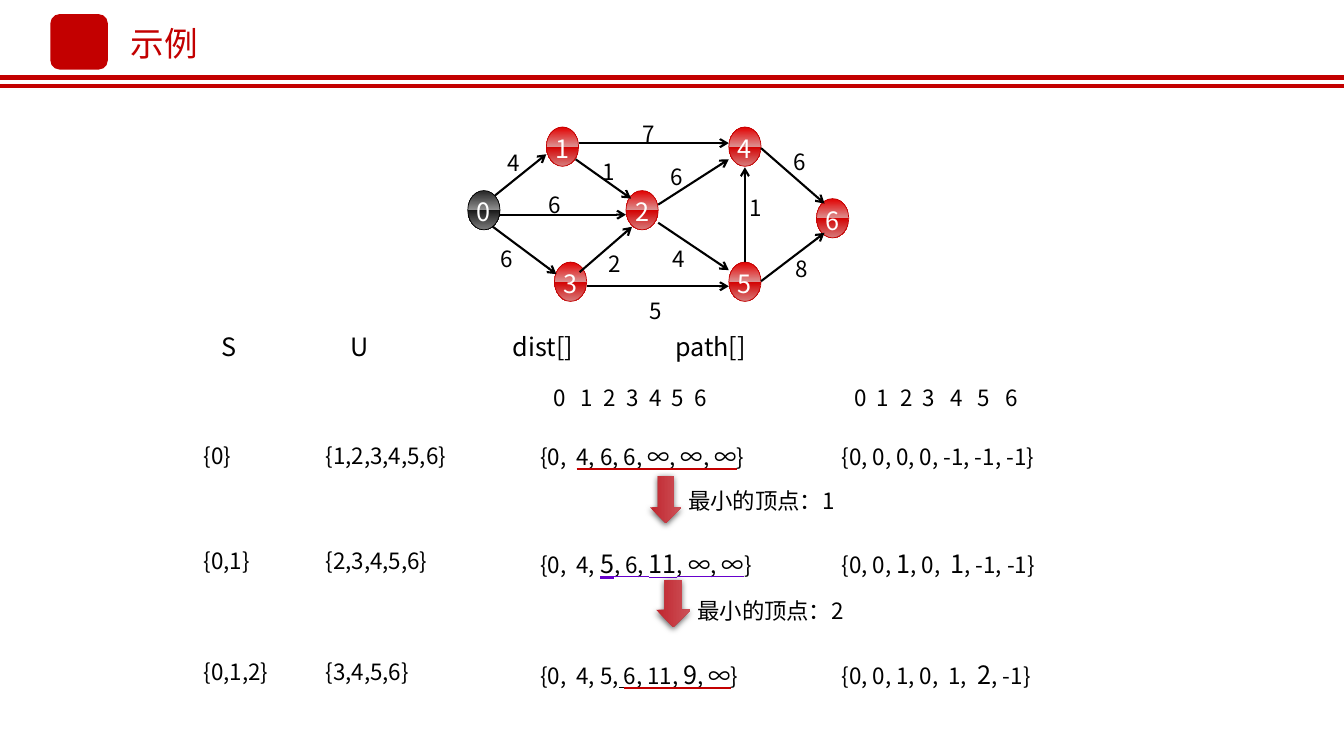
from dataclasses import dataclass

from lxml.etree import SubElement
from pptx import Presentation
from pptx.dml.color import RGBColor
from pptx.enum.shapes import MSO_CONNECTOR, MSO_SHAPE
from pptx.enum.text import MSO_ANCHOR, MSO_AUTO_SIZE, MSO_UNDERLINE, PP_ALIGN
from pptx.oxml.ns import qn
from pptx.util import Emu, Inches, Pt

FONT = "Noto Sans CJK SC"
RED, BLACK, WHITE, PURPLE = "C30000", "000000", "FFFFFF", "6600CC"
DARK = ["9D9D9D", "252525", "909090", "191919", "7C7C7C", "191919"]
GLOSS = ["E59D9D", "E20000", "DC9090", "D30000", "D77C7C", "D30000"]
STEPS = [0, 0, 50, 50, 100, 100]
CELL = Inches(0.1)
COLS, ROWS = 133.33, 75


@dataclass
class Run:
    text: str
    size: int = 16
    under: str = ""
    heavy: bool = False


@dataclass
class Node:
    name: str
    col: float
    row: float


@dataclass
class Edge:
    start: tuple[float, float]
    end: tuple[float, float]
    weight: str
    label: tuple[float, float]


@dataclass
class Step:
    row: float
    done: str
    todo: str
    dist: list[Run]
    prev: list[Run]
    stops: tuple[float, ...] = ()


@dataclass
class Pick:
    col: float
    row: float
    width: float
    text: str
    left: float
    top: float


NODES = [
    Node("0", 46.4, 18.9), Node("1", 54.2, 12.6), Node("3", 55, 26),
    Node("2", 62.1, 18.9), Node("4", 72.3, 12.6), Node("5", 72.3, 26),
    Node("6", 81, 19.7),
]
EDGES = [
    Edge((49.1, 19.4), (54.2, 15.3), "4", (48.6, 14.3)),
    Edge((49.5, 21.3), (62.1, 21.3), "6", (52.7, 18.5)),
    Edge((48.9, 22.5), (55.2, 27.2), "6", (47.9, 23.8)),
    Edge((57.4, 14.2), (72.3, 14.2), "7", (62, 11.4)),
    Edge((58.2, 28.4), (72.3, 28.4), "5", (62.7, 29)),
    Edge((57.5, 27), (62.7, 22.5), "2", (58.6, 24.3)),
    Edge((57.1, 15.8), (62.6, 19.7), "1", (58, 15.2)),
    Edge((65.3, 20.3), (72.3, 15.8), "6", (64.8, 15.7)),
    Edge((65.3, 22.1), (72.3, 26.8), "4", (65, 23.8)),
    Edge((73.9, 26), (73.9, 16.6), "1", (72.6, 18.8)),
    Edge((75.5, 27.9), (81.8, 23.1), "8", (77.2, 24.8)),
    Edge((75.5, 14.7), (81.8, 20.2), "6", (77, 14.2)),
]
STEPLIST = [
    Step(44, "{0}", "{1,2,3,4,5,6}",
         [Run("{0,\t"), Run("4, 6, 6, ∞, ∞, ∞", 16, RED, True), Run("}")],
         [Run("{0, 0, 0, 0, -1, -1, -1}")]),
    Step(54.4, "{0,1}", "{2,3,4,5,6}",
         [Run("{0,\t4, "), Run("5", 18, PURPLE, True), Run(", 6, ", 16, PURPLE),
          Run("11", 18, PURPLE), Run(", ∞, ∞", 16, PURPLE), Run("}")],
         [Run("{0, 0, "), Run("1", 18), Run(", 0,\t"), Run("1", 18),
          Run(", -1, -1}")], (10.8,)),
    Step(65.4, "{0,1,2}", "{3,4,5,6}",
         [Run("{0,\t4, 5,"), Run(" ", 16, BLACK), Run("6, 11, ", 16, RED, True),
          Run("9", 18, RED, True), Run(", ∞", 16, RED, True), Run("}")],
         [Run("{0, 0, 1, 0,\t1,\t"), Run("2", 18), Run(", -1}")], (10.6, 13.5)),
]
PICKS = [
    Pick(64.5, 47.2, 3.1, "最小的顶点：1", 67.3, 47.8),
    Pick(65.1, 57.5, 3.4, "最小的顶点：2", 68.2, 58.7),
]


def tint(code: str) -> RGBColor:
    return RGBColor.from_string(code)


def span(cells: float) -> Emu:
    return Emu(round(cells * CELL))


def write(para, runs: list[Run], ink: str, stops: tuple[float, ...] = ()) -> None:
    if stops:
        tabs = SubElement(para._p.get_or_add_pPr(), qn("a:tabLst"))
        for stop in stops:
            SubElement(tabs, qn("a:tab"), pos=str(span(stop)), algn="l")
    font = para.font
    font.name = FONT
    font.color.rgb = tint(ink)
    SubElement(font._element, qn("a:ea"), typeface=FONT)
    same = len({run.size for run in runs}) == 1
    if same:
        font.size = Pt(runs[0].size)
    for run in runs:
        piece = para.add_run()
        piece.text = run.text
        if not same:
            piece.font.size = Pt(run.size)
        if run.under:
            style = MSO_UNDERLINE.HEAVY_LINE if run.heavy else MSO_UNDERLINE.SINGLE_LINE
            piece.font.underline = style
            paint = SubElement(piece._r.get_or_add_rPr(), qn("a:uFill"))
            solid = SubElement(paint, qn("a:solidFill"))
            SubElement(solid, qn("a:srgbClr"), val=run.under)


def label(slide, col: float, row: float, width: float, height: float,
          runs: list[Run], ink: str = BLACK, stops: tuple[float, ...] = (),
          pad: bool = False, wrap: bool = True):
    box = slide.shapes.add_textbox(span(col), span(row), span(width), span(height))
    frame = box.text_frame
    frame.word_wrap = wrap
    frame.auto_size = MSO_AUTO_SIZE.SHAPE_TO_FIT_TEXT
    if not pad:
        frame.margin_left = frame.margin_right = 0
        frame.margin_top = frame.margin_bottom = 0
    write(frame.paragraphs[0], runs, ink, stops)
    return frame


def blend(shape, hues: list[str], steps: list[int], angle: int) -> None:
    shape.fill.gradient()
    grad = shape._element.spPr.find(qn("a:gradFill"))
    marks = grad.find(qn("a:gsLst"))
    for mark in list(marks):
        marks.remove(mark)
    for hue, step in zip(hues, steps):
        mark = SubElement(marks, qn("a:gs"), pos=str(step * 1000))
        SubElement(mark, qn("a:srgbClr"), val=hue)
    grad.find(qn("a:lin")).set("ang", str(angle * 60000))


def rule(slide, start: tuple[float, float], end: tuple[float, float],
         ink: str, width: float, head: bool = False) -> None:
    line = slide.shapes.add_connector(
        MSO_CONNECTOR.STRAIGHT, *map(span, start), *map(span, end))
    line.line.color.rgb = tint(ink)
    line.line.width = Pt(width)
    if head:
        SubElement(line.line._get_or_add_ln(), qn("a:tailEnd"), type="arrow")
    SubElement(line._element.spPr, qn("a:effectLst"))


def draw_node(slide, node: Node) -> None:
    oval = slide.shapes.add_shape(
        MSO_SHAPE.OVAL, span(node.col), span(node.row), span(3.2), span(3.9))
    oval.shadow.inherit = False
    first = node.name == "0"
    blend(oval, DARK if first else GLOSS, STEPS, 90)
    oval.line.color.rgb = tint(BLACK if first else RED)
    oval.line.width = Pt(0.5)
    frame = oval.text_frame
    frame.word_wrap = False
    frame.vertical_anchor = MSO_ANCHOR.MIDDLE
    para = frame.paragraphs[0]
    para.alignment = PP_ALIGN.CENTER
    para.line_spacing = Pt(24)
    write(para, [Run(node.name, 18)], WHITE)


def draw_edge(slide, edge: Edge) -> None:
    rule(slide, edge.start, edge.end, BLACK, 1.5, True)
    frame = label(slide, *edge.label, 4.7, 3.7, [Run(edge.weight)], pad=True)
    frame.paragraphs[0].alignment = PP_ALIGN.CENTER


def draw_step(slide, step: Step) -> None:
    label(slide, 20.2, step.row - 0.1, 8.7, 2.7, [Run(step.done)])
    label(slide, 32.3, step.row - 0.1, 15.8, 2.7, [Run(step.todo)])
    label(slide, 53.6, step.row, 28, 3, step.dist, stops=(3.6,))
    label(slide, 83.5, step.row, 30, 3, step.prev, stops=step.stops)


def draw_pick(slide, pick: Pick) -> None:
    arrow = slide.shapes.add_shape(
        MSO_SHAPE.DOWN_ARROW, span(pick.col), span(pick.row), span(pick.width), span(4.7))
    arrow.shadow.inherit = False
    blend(arrow, ["C0262E", "CD5158"], [0, 100], 0)
    arrow.line.fill.background()
    glow = SubElement(
        arrow._element.spPr.find(qn("a:effectLst")), qn("a:outerShdw"),
        blurRad=str(Pt(4.5)), dist=str(Pt(1.5)), dir="5400000", rotWithShape="0")
    shade = SubElement(glow, qn("a:srgbClr"), val=BLACK)
    SubElement(shade, qn("a:alpha"), val="63000")
    label(slide, pick.left, pick.top, 21.1, 3.7, [Run(pick.text)], pad=True)


def main() -> None:
    deck = Presentation()
    deck.slide_width, deck.slide_height = span(COLS), span(ROWS)
    slide = deck.slides.add_slide(deck.slide_layouts[6])
    for row in (7.7, 8.5):
        rule(slide, (0, row), (COLS, row), RED, 3)
    badge = slide.shapes.add_shape(
        MSO_SHAPE.ROUNDED_RECTANGLE, span(5), span(1.4), span(5.7), span(5.5))
    badge.shadow.inherit = False
    badge.fill.solid()
    badge.fill.fore_color.rgb = tint(RED)
    badge.line.fill.background()
    for node in NODES:
        draw_node(slide, node)
    for edge in EDGES:
        draw_edge(slide, edge)
    head = label(slide, 21, 33, 89.8, 3.4, [Run("S\tU\tdist[]\tpath[]", 18)],
                 stops=(12.8, 28.9, 45), pad=True)
    head.paragraphs[0].line_spacing = 0.8
    digits = "\t".join(map(str, range(7)))
    label(slide, 54.9, 38.1, 25.8, 2.7, [Run(digits)], stops=(2.7, 5, 7.2, 9.5, 11.7, 14))
    label(slide, 84.8, 38.1, 28.8, 2.7, [Run(digits)], stops=(2.2, 4.5, 6.7, 9.5, 12.2, 14.9))
    for step in STEPLIST:
        draw_step(slide, step)
    for pick in PICKS:
        draw_pick(slide, pick)
    title = label(slide, 12, 1.8, 8.7, 5, [Run("示例", 24)], RED, pad=True, wrap=False)
    title.vertical_anchor = MSO_ANCHOR.MIDDLE
    deck.save("out.pptx")


if __name__ == "__main__":
    main()
